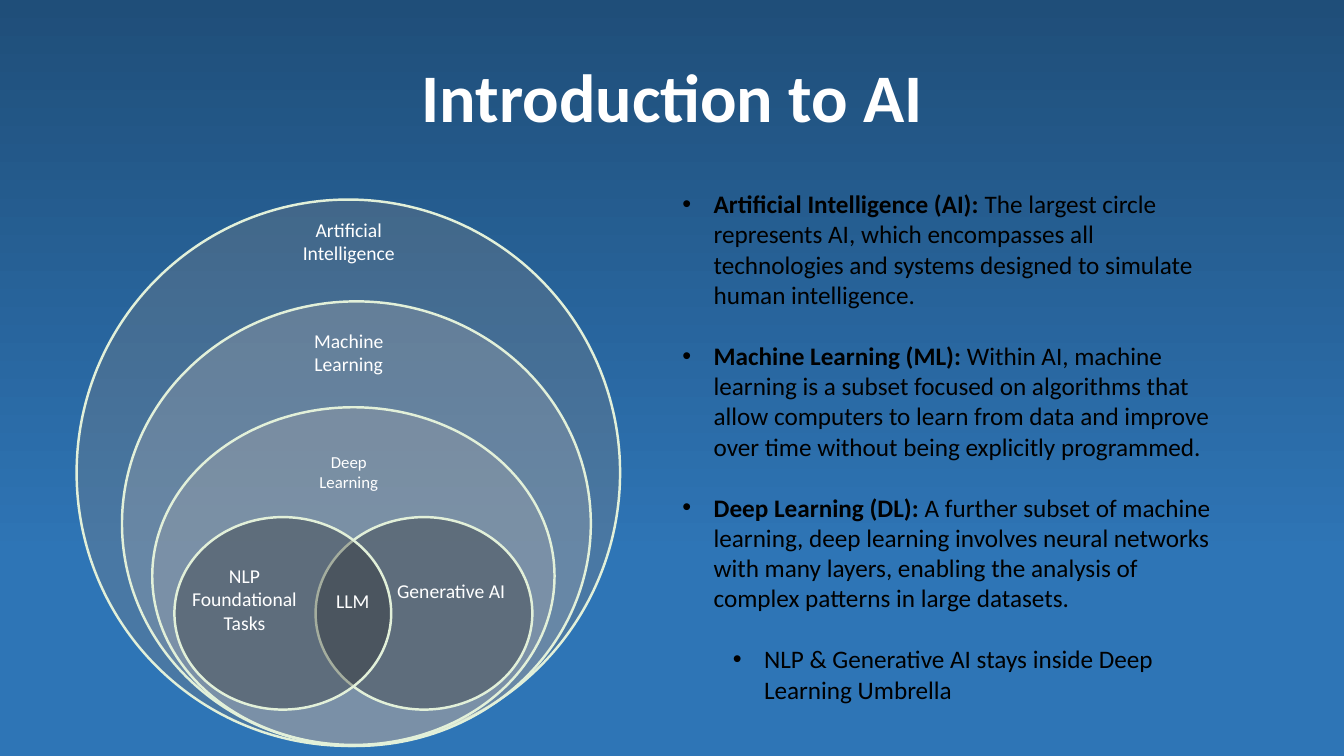
from lxml import etree
from pptx import Presentation
from pptx.dml.color import RGBColor
from pptx.enum.shapes import MSO_SHAPE
from pptx.enum.text import MSO_ANCHOR, MSO_AUTO_SIZE, PP_ALIGN
from pptx.oxml.ns import qn
from pptx.util import Inches, Pt

OVAL = MSO_SHAPE.OVAL
CENTER, LEFT = PP_ALIGN.CENTER, PP_ALIGN.LEFT
FONT = "Calibri"
TITLE_ONLY = 5
BULLET_HANG = 0.31

TITLE = "Introduction to AI"
BACKGROUND = [(0, "1F4E79"), (0.74, "2E75B6")]

# left, top, width, height, fill, opacity in percent
CIRCLES = [
    (0.76, 1.98, 5.39, 5.42, "808080", 33),
    (1.21, 2.99, 4.65, 4.41, "AFABAB", 30),
    (1.51, 4.04, 3.99, 3.35, "AFABAB", 27),
    (3.13, 5.13, 2.15, 1.91, "262626", 33),
    (1.73, 5.13, 2.15, 1.91, "262626", 33),
]

# text, left, top, width, height, font size
LABELS = [
    ("Artificial\vIntelligence", 2.51, 2.11, 1.9, 0.57, 14),
    ("Machine\vLearning", 2.51, 3.21, 1.9, 0.57, 14),
    ("Deep\vLearning", 2.51, 4.43, 1.9, 0.5, 12),
    ("Generative AI", 3.79, 5.69, 1.37, 0.34, 14),
    ("NLP\vFoundational Tasks", 1.64, 5.54, 1.57, 0.81, 14),
    ("LLM", 2.98, 5.79, 1.04, 0.34, 14),
]

# level, bold lead, explanation
DEFINITIONS = [
    (0, "Artificial Intelligence (AI): ",
     "The largest circle represents AI, which encompasses all technologies "
     "and systems designed to simulate human intelligence."),
    (0, "Machine Learning (ML): ",
     "Within AI, machine learning is a subset focused on algorithms that allow "
     "computers to learn from data and improve over time without being "
     "explicitly programmed."),
    (0, "Deep Learning (DL): ",
     "A further subset of machine learning, deep learning involves neural "
     "networks with many layers, enabling the analysis of complex patterns "
     "in large datasets."),
    (1, "", "NLP & Generative AI stays inside Deep Learning Umbrella"),
]


def color(value):
    return RGBColor.from_string(value)


def style(para, size, hex_color, align):
    para.alignment = align
    para.font.name = FONT
    para.font.size = Pt(size)
    para.font.color.rgb = color(hex_color)


def add_bullet(para, level):
    """Give the paragraph a hanging round bullet."""
    para.level = level
    props = para._p.get_or_add_pPr()
    props.set("marL", str(Inches(BULLET_HANG + 0.5 * level)))
    props.set("indent", str(-Inches(BULLET_HANG)))
    etree.SubElement(props, qn("a:buFont"), typeface="Arial")
    etree.SubElement(props, qn("a:buChar"), char="•")


def paint_background(page):
    fill = page.background.fill
    fill.gradient()
    fill.gradient_angle = 270
    for stop, (position, value) in zip(fill.gradient_stops, BACKGROUND):
        stop.position = position
        stop.color.rgb = color(value)


def add_title(page):
    title = page.shapes.title
    title.left, title.top = Inches(0.92), Inches(0.66)
    title.width, title.height = Inches(11.5), Inches(0.67)
    frame = title.text_frame
    frame.text = TITLE
    frame.auto_size = MSO_AUTO_SIZE.NONE
    frame.vertical_anchor = MSO_ANCHOR.MIDDLE
    para = frame.paragraphs[0]
    style(para, 48.6, "FFFFFF", CENTER)
    para.font.bold = True
    para.line_spacing = 0.9


def add_circle(page, left, top, width, height, fill, opacity):
    circle = page.shapes.add_shape(
        OVAL, Inches(left), Inches(top), Inches(width), Inches(height))
    circle.shadow.inherit = False
    circle.fill.solid()
    circle.fill.fore_color.rgb = color(fill)
    tint = circle.fill._xPr.find(qn("a:solidFill"))[0]
    etree.SubElement(tint, qn("a:alpha"), val=str(opacity * 1000))
    circle.line.color.rgb = color("E2F0D9")
    circle.line.width = Pt(1.75)


def add_text_frame(page, left, top, width, height):
    box = page.shapes.add_textbox(
        Inches(left), Inches(top), Inches(width), Inches(height))
    frame = box.text_frame
    frame.word_wrap = True
    frame.auto_size = MSO_AUTO_SIZE.SHAPE_TO_FIT_TEXT
    return frame


def add_definitions(page):
    frame = add_text_frame(page, 6.67, 1.82, 5.46, 5.25)
    for index, (level, lead, explanation) in enumerate(DEFINITIONS):
        para = frame.add_paragraph() if index else frame.paragraphs[0]
        add_bullet(para, level)
        if index:
            para.space_before = Pt(22)
        style(para, 18, "000000", LEFT)
        if lead:
            span = para.add_run()
            span.text = lead
            span.font.bold = True
        para.add_run().text = explanation


def main():
    deck = Presentation()
    deck.slide_width, deck.slide_height = Inches(13.33), Inches(7.5)
    page = deck.slides.add_slide(deck.slide_layouts[TITLE_ONLY])
    paint_background(page)
    add_title(page)
    for circle in CIRCLES:
        add_circle(page, *circle)
    for text, left, top, width, height, size in LABELS:
        frame = add_text_frame(page, left, top, width, height)
        frame.text = text
        style(frame.paragraphs[0], size, "FFFFFF", CENTER)
    add_definitions(page)
    deck.save("out.pptx")


if __name__ == "__main__":
    main()
